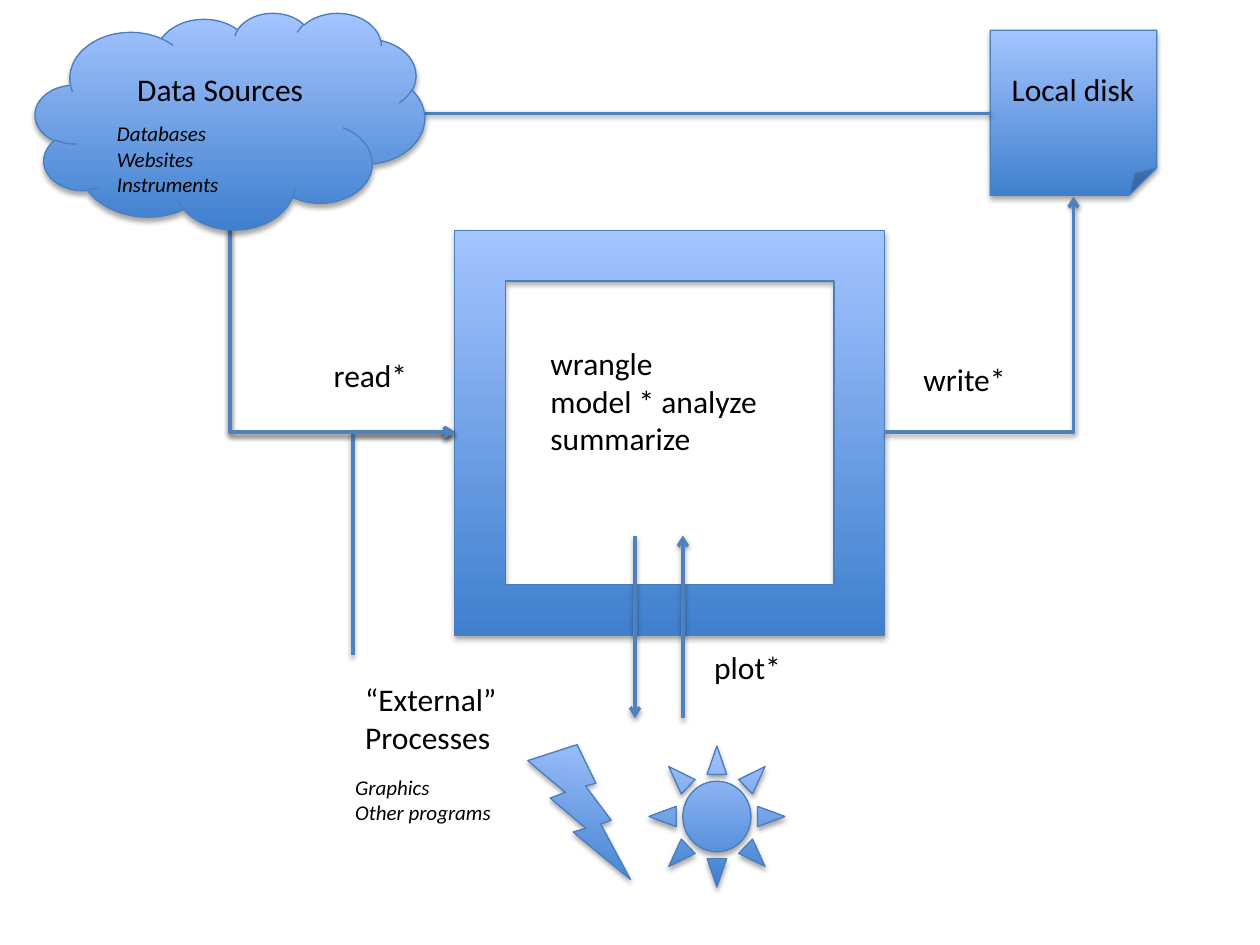
from lxml import etree
from pptx import Presentation
from pptx import util as u
from pptx.dml.color import RGBColor
from pptx.enum import shapes, text
from pptx.oxml import ns

BLACK = RGBColor(0x00, 0x00, 0x00)
DEEP = RGBColor(0x3F, 0x80, 0xCE)
PALE = RGBColor(0xA4, 0xC4, 0xFF)
EDGE = RGBColor(0x4B, 0x7E, 0xBC)
WIRE = RGBColor(0x4F, 0x81, 0xBD)
MSO = shapes.MSO_SHAPE


class Diagram:
    font = "Calibri"
    columns, rows = 100, 75

    def __init__(self, prs):
        self.s = prs.slides.add_slide(prs.slide_layouts[6])
        self.col = prs.slide_width / self.columns
        self.row = prs.slide_height / self.rows

    def place(self, x, y, w, h):
        return [round(v * unit) for v, unit in
                ((x, self.col), (y, self.row), (w, self.col), (h, self.row))]

    def child(self, parent, tag, **attrs):
        return etree.SubElement(parent, ns.qn("a:" + tag),
                                {k: str(v) for k, v in attrs.items()})

    def outline(self, sp, color, width):
        sp.line.color.rgb = color
        sp.line.width = u.Pt(width)

    def shadow(self, sp, dist, alpha):
        effects = self.child(sp._element.spPr, "effectLst")
        outer = self.child(effects, "outerShdw", blurRad=u.Pt(3.1), dist=u.Pt(dist),
                           dir=90 * 60000, rotWithShape=0)
        color = self.child(outer, "srgbClr", val=BLACK)
        self.child(color, "alpha", val=alpha * 1000)

    def shape(self, kind, x, y, w, h, rotation=0):
        sp = self.s.shapes.add_shape(kind, *self.place(x, y, w, h))
        sp.rotation = rotation
        sp.fill.gradient()
        sp.fill.gradient_angle = 90
        for stop, color, position in zip(sp.fill.gradient_stops, (DEEP, PALE), (0, 1)):
            stop.color.rgb = color
            stop.position = position
        self.outline(sp, EDGE, 0.75)
        self.shadow(sp, 1.8, 35)

    def arrow(self, start, end, kind=shapes.MSO_CONNECTOR.STRAIGHT):
        c = self.s.shapes.add_connector(kind, *self.place(*start, *end))
        self.outline(c, WIRE, 2)
        self.child(c.line._get_or_add_ln(), "tailEnd", type="arrow")
        self.shadow(c, 1.6, 38)
        return c

    def elbow(self, start, end, bends=1, rotation=0, flips="", bend_at=None):
        (x1, y1), (x2, y2) = start, end
        w, h = abs(x2 - x1), abs(y2 - y1)
        cx, cy = (x1 + x2) / 2, (y1 + y2) / 2
        if rotation % 180:
            w, h = h, w
        left, top = cx - w / 2, cy - h / 2
        c = self.arrow((left, top), (left + w, top + h), shapes.MSO_CONNECTOR.ELBOW)
        xfrm = c._element.spPr.find(ns.qn("a:xfrm"))
        xfrm.set("rot", str(rotation * 60000))
        for flip in flips:
            xfrm.set("flip" + flip, "1")
        geom = c._element.spPr.find(ns.qn("a:prstGeom"))
        geom.set("prst", f"bentConnector{bends + 1}")
        if bend_at is not None:
            guides = geom.find(ns.qn("a:avLst"))
            if guides is None:
                guides = self.child(geom, "avLst")
            self.child(guides, "gd", name="adj1", fmla=f"val {round(bend_at * 100000)}")

    def label(self, x, y, w, h, *lines, size=18, italic=False):
        tf = self.s.shapes.add_textbox(*self.place(x, y, w, h)).text_frame
        tf.word_wrap = True
        tf.auto_size = text.MSO_AUTO_SIZE.SHAPE_TO_FIT_TEXT
        tf.text = "\n".join(lines)
        for p in tf.paragraphs:
            for r in p.runs:
                r.font.name = self.font
                r.font.size = u.Pt(size)
                r.font.italic = italic
                r.font.color.rgb = BLACK

    def details(self, x, y, w, h, *lines):
        self.label(x, y, w, h, *lines, size=12, italic=True)


prs = Presentation()
prs.slide_width, prs.slide_height = u.Inches(10), u.Inches(7.5)
d = Diagram(prs)

cloud_bottom = (18.3, 18.2)
disk_left, disk_bottom = (78.6, 9), (85.2, 15.6)
frame_in, frame_out = (36.1, 34.3), (70.2, 34.3)
inside, outside = 42.5, 57

d.shape(MSO.FOLDED_CORNER, 78.6, 2.4, 13.2, 13.1)
d.shape(MSO.FRAME, 36.1, 18.3, 34.1, 32.1)
d.elbow(cloud_bottom, frame_in, rotation=270, flips="H")
d.elbow(frame_out, disk_bottom, flips="V")
d.label(72.3, 28.1, 10.2, 4, "write*")
d.label(25.5, 27.8, 9.5, 4, "read*")
d.label(42.7, 26.8, 20.1, 10.1, "wrangle", "model * analyze", "summarize")
d.arrow((50.4, inside), (50.4, outside))
d.shape(MSO.LIGHTNING_BOLT, 41.4, 59.2, 9.4, 10, rotation=8.1)
d.shape(MSO.SUN, 51.5, 59.2, 10.8, 11.2)
d.label(28, 53.5, 14.8, 7.1, "“External” Processes")
d.details(27.2, 61, 13.9, 5, "Graphics", "Other programs")
d.elbow((28, 52), frame_in, rotation=90, flips="HV")
d.label(79.3, 5.1, 12.5, 4, "Local disk")
d.elbow(disk_left, frame_in, bends=2, rotation=180, flips="V", bend_at=1.42)
d.shape(MSO.CLOUD, 2.8, 1, 30.9, 17.2)
d.arrow((54.2, outside), (54.2, inside))
d.label(55.7, 50.9, 9.5, 4, "plot*")
d.label(9.9, 5.1, 16.8, 4, "Data Sources")
d.details(8.3, 9.1, 20.4, 7.1, "Databases", "Websites", "Instruments")

prs.save("out.pptx")
